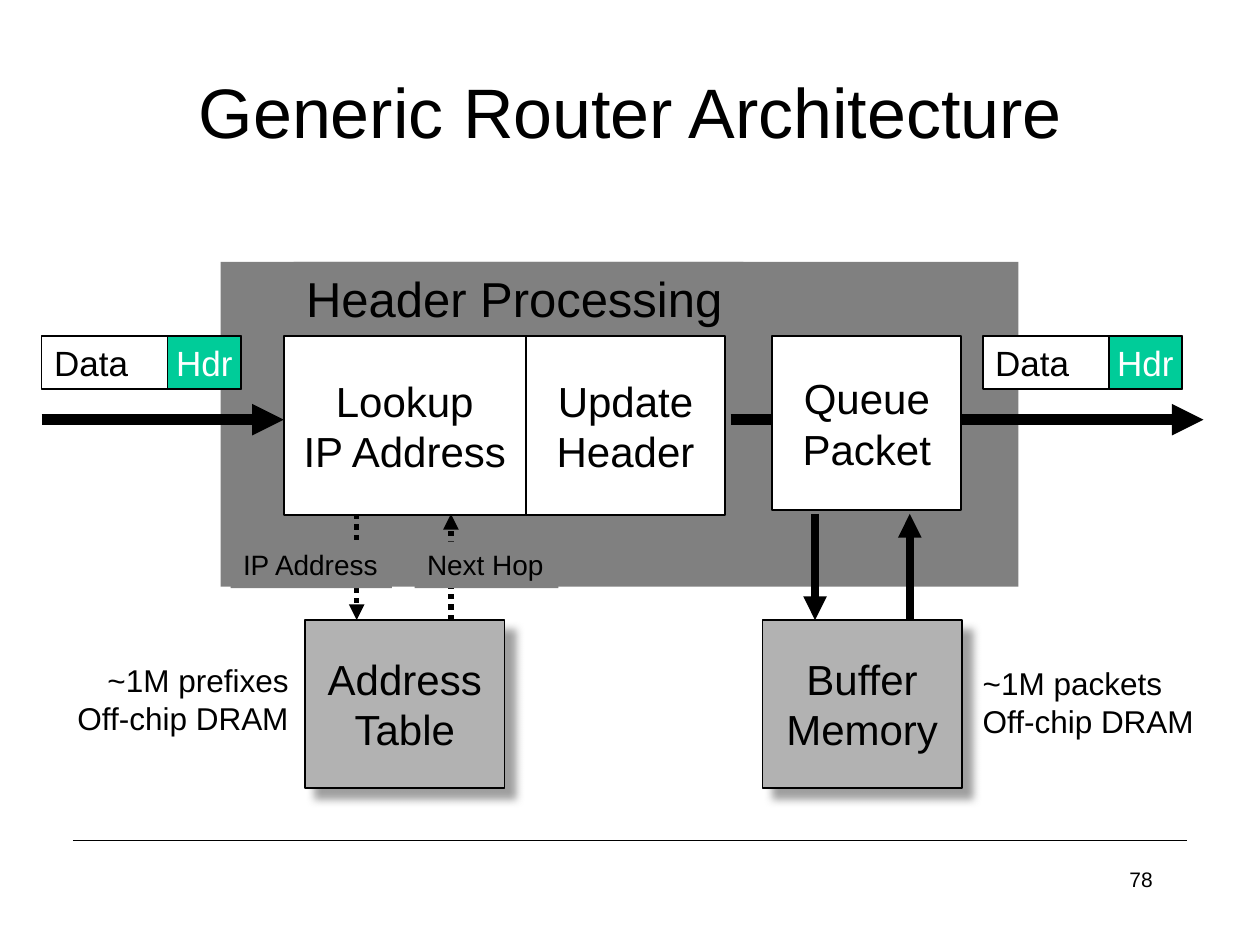
from lxml import etree
from pptx import Presentation
from pptx.dml.color import RGBColor
from pptx.enum.dml import MSO_LINE
from pptx.enum.shapes import MSO_CONNECTOR, MSO_SHAPE
from pptx.enum.text import MSO_ANCHOR, PP_ALIGN
from pptx.oxml.ns import qn
from pptx.util import Cm, Pt

RECT = MSO_SHAPE.RECTANGLE
LINE = MSO_CONNECTOR.STRAIGHT
DOTS = MSO_LINE.ROUND_DOT
TOP, MID = MSO_ANCHOR.TOP, MSO_ANCHOR.MIDDLE
LEFT, MIDST, RIGHT = PP_ALIGN.LEFT, PP_ALIGN.CENTER, PP_ALIGN.RIGHT
FONT = "Arial"
HUES = {
    "ink": "000000",
    "paper": "FFFFFF",
    "panel": "808080",
    "store": "B2B2B2",
    "head": "00CC99",
}


class Board:
    def __init__(self, slide):
        self.slide = slide

    def hue(self, name):
        return RGBColor.from_string(HUES[name])

    def letter(self, shape, text, size, align, anchor, ink="ink", wrap=False):
        frame = shape.text_frame
        frame.word_wrap = wrap
        frame.vertical_anchor = anchor
        frame.text = text
        for para in frame.paragraphs:
            para.alignment = align
            para.font.name = FONT
            para.font.size = Pt(size)
            para.font.color.rgb = self.hue(ink)

    def label(self, x, y, w, h, text, size, align=LEFT, anchor=TOP, wrap=False):
        box = self.slide.shapes.add_textbox(Cm(x), Cm(y), Cm(w), Cm(h))
        self.letter(box, text, size, align, anchor, wrap=wrap)

    def block(self, x, y, w, h, fill, edge=True):
        box = self.slide.shapes.add_shape(RECT, Cm(x), Cm(y), Cm(w), Cm(h))
        box.shadow.inherit = False
        box.fill.solid()
        box.fill.fore_color.rgb = self.hue(fill)
        if edge:
            box.line.color.rgb = self.hue("ink")
            box.line.width = Pt(1)
        else:
            box.line.fill.background()
        return box

    def stage(self, x, y, w, h, text, fill="paper"):
        box = self.block(x, y, w, h, fill)
        self.letter(box, text, 24, MIDST, MID)
        return box

    def tag(self, x, y, w, h, text, size):
        box = self.block(x, y, w, h, "panel", edge=False)
        self.letter(box, text, size, LEFT, TOP)

    def store(self, x, text):
        box = self.stage(x, 12.5, 4.02, 3.38, text, "store")
        effects = box._element.spPr.find(qn("a:effectLst"))
        shade = etree.SubElement(
            effects, qn("a:outerShdw"), blurRad=str(Pt(5)), dist=str(Pt(8.5)),
            dir="2700000", algn="ctr", rotWithShape="0")
        tone = etree.SubElement(shade, qn("a:srgbClr"), val=HUES["panel"])
        etree.SubElement(tone, qn("a:alpha"), val="75000")

    def packet(self, x):
        data = self.block(x, 6.78, 4.02, 1.07, "paper")
        self.letter(data, "Data", 20, LEFT, MID)
        head = self.block(x + 2.54, 6.78, 1.48, 1.07, "head")
        self.letter(head, "Hdr", 20, MIDST, MID, "paper")

    def line(self, x1, y1, x2, y2, width, tip=True, dash=None):
        link = self.slide.shapes.add_connector(LINE, Cm(x1), Cm(y1), Cm(x2), Cm(y2))
        link.line.color.rgb = self.hue("ink")
        link.line.width = Pt(width)
        if dash:
            link.line.dash_style = dash
        props = link._element.spPr
        if tip:
            etree.SubElement(props.find(qn("a:ln")), qn("a:tailEnd"), type="triangle")
        etree.SubElement(props, qn("a:effectLst"))


def main():
    deck = Presentation()
    deck.slide_width, deck.slide_height = Cm(25.4), Cm(19.05)
    board = Board(deck.slides.add_slide(deck.slide_layouts[6]))

    board.line(1.47, 16.94, 23.93, 16.94, 0.75, tip=False)
    board.label(18.21, 17.35, 5.28, 1.27, "78", 12, RIGHT, wrap=True)
    board.block(4.45, 5.28, 16.08, 6.55, "panel", edge=False)
    board.label(1.91, 0.64, 21.59, 3.18, "Generic Router Architecture", 40,
                MIDST, MID, wrap=True)

    board.stage(5.72, 6.78, 4.88, 3.61, "Lookup\nIP Address")
    board.stage(10.6, 6.78, 4.02, 3.61, "Update\nHeader")
    board.tag(5.92, 5.28, 9.07, 1.45, "Header Processing", 28)

    for start, end, left in ((0.84, 5.72, 0.84), (14.73, 24.26, 19.81)):
        board.line(start, 8.46, end, 8.46, 6)
        board.packet(left)
    board.stage(15.57, 6.78, 3.81, 3.51, "Queue\nPacket")

    board.store(6.15, "Address\nTable")
    board.store(15.37, "Buffer\nMemory")
    high, low = 10.36, 12.5
    for down, up, width, dash in ((7.19, 9.09, 3, DOTS), (16.43, 18.34, 4.5, None)):
        board.line(down, high, down, low, width, dash=dash)
        board.line(up, low, up, high, width, dash=dash)
    board.tag(4.65, 10.92, 3.25, 0.94, "IP Address", 16)
    board.tag(8.36, 10.92, 2.9, 0.94, "Next Hop", 16)

    board.label(1.27, 13.21, 4.8, 1.8, "~1M prefixes\nOff-chip DRAM", 18, RIGHT)
    board.label(19.56, 13.26, 4.8, 1.8, "~1M packets\nOff-chip DRAM", 18)
    deck.save("out.pptx")


if __name__ == "__main__":
    main()
